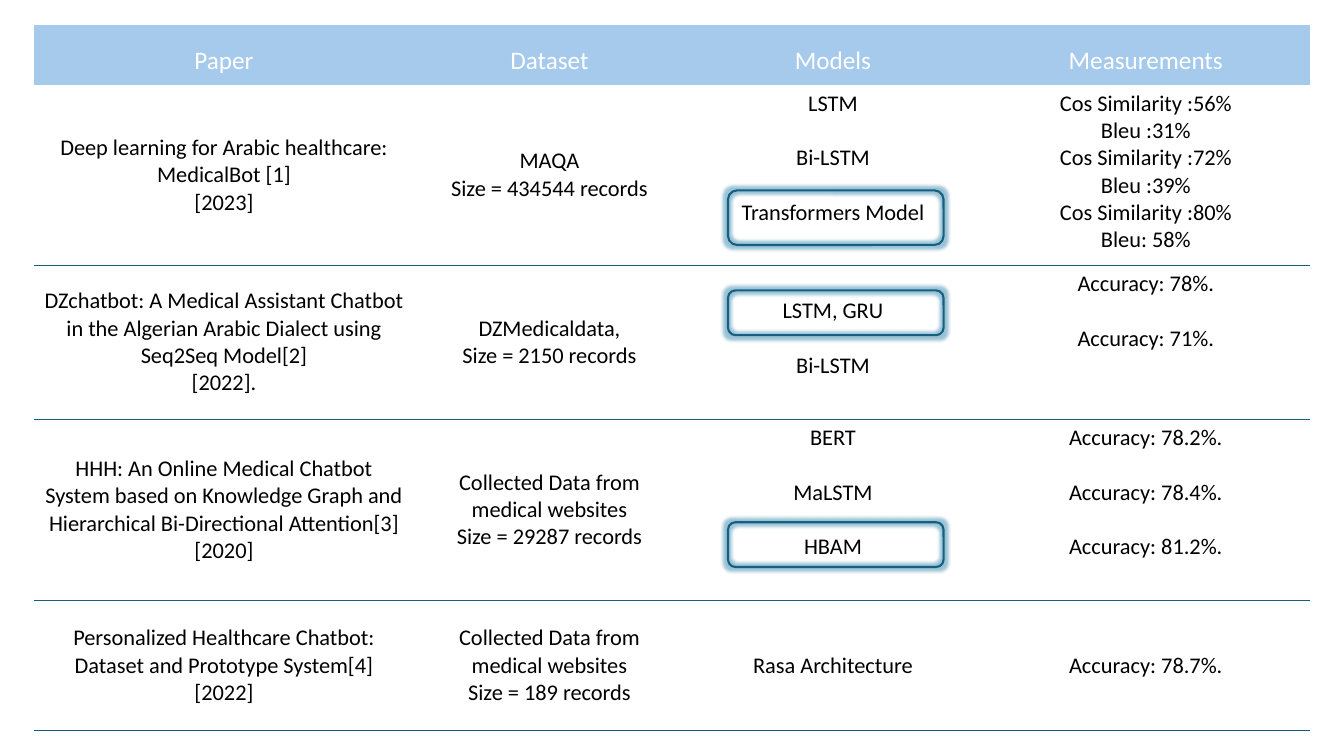
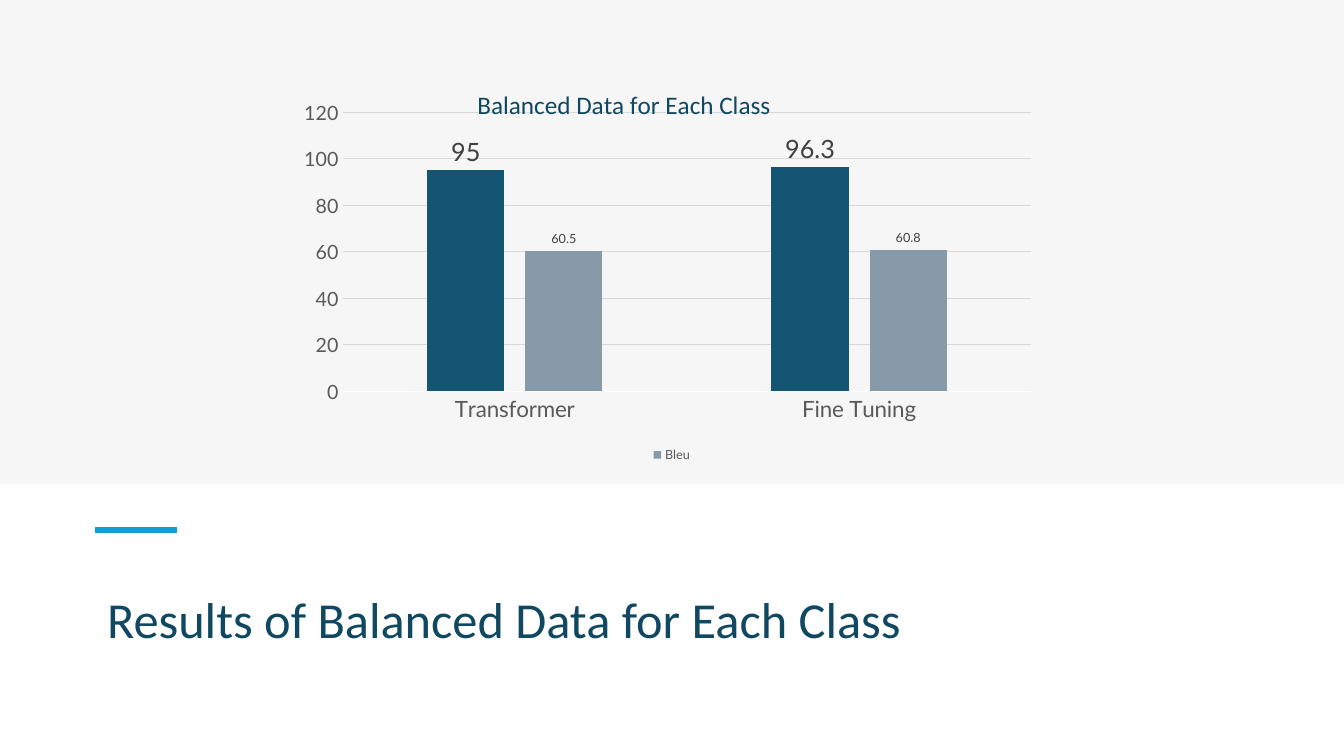
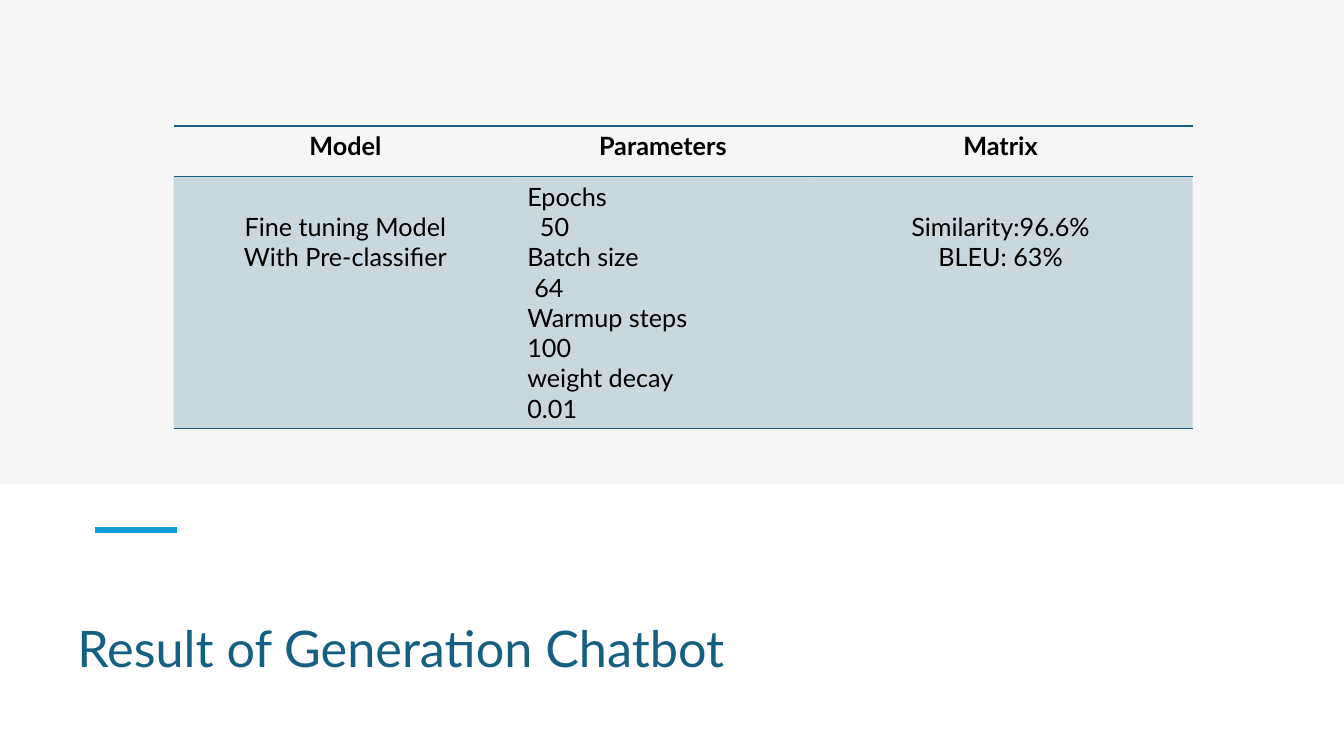
from dataclasses import dataclass
from typing import Any, NamedTuple

from lxml import etree
from pptx import Presentation
from pptx import util as u
from pptx.chart.data import CategoryChartData
from pptx.dml.color import RGBColor
from pptx.enum import chart as charts, shapes, text
from pptx.oxml.ns import qn

Pt = u.Pt
COLORS = {
    "navy": "104862", "teal": "156082", "sky": "0F9ED5", "header": "A6CAEC",
    "band": "F2F2F2", "white": "FFFFFF", "black": "000000", "bar": "135573",
    "slate": "879AAA", "axis": "595959", "label": "404040", "grid": "D9D9D9",
}
PLAIN_TABLE = "{2D5ABB26-0587-4C30-8999-92F81FD0307C}"
MIDDLE, TOP = text.MSO_ANCHOR.MIDDLE, text.MSO_ANCHOR.TOP
CENTER, LEFT = text.PP_ALIGN.CENTER, text.PP_ALIGN.LEFT


class Frame(NamedTuple):
    left: float
    top: float
    width: float
    height: float

    def lengths(self) -> list[u.Length]:
        return [Pt(value) for value in self]


@dataclass(frozen=True)
class Style:
    name: str
    size: float
    color: str
    bold: bool = False


@dataclass(frozen=True)
class Cell:
    lines: tuple[str, ...]
    style: Style
    fill: str | None = None
    alpha: int = 100
    anchor: Any = TOP
    align: Any = CENTER
    gap: float = 0
    drop: float = 0
    spacing: float = 1
    indents: tuple[float, ...] = ()
    rules: tuple[str, ...] = ("b",)


@dataclass(frozen=True)
class Bars:
    name: str
    values: tuple[float, ...]
    color: str
    label_size: float


TABLE_HEAD = Style("Calibri", 18, "white")
TABLE_BODY = Style("Calibri", 16, "black")
RESULT_HEAD = Style("Lato", 18, "black", True)
RESULT_BODY = Style("Lato", 18, "black")
LINE_16, LINE_18 = 19.5, 21.6


def rgb(name: str) -> RGBColor:
    return RGBColor.from_string(COLORS[name])


def assign(target: Any, values: dict[str, Any]) -> None:
    for name, value in values.items():
        setattr(target, name, value)


def set_font(font: Any, style: Style) -> None:
    assign(font, {"name": style.name, "size": Pt(style.size), "bold": style.bold})
    font.color.rgb = rgb(style.color)


def paint(fill: Any, color: str | None, alpha: int = 100) -> None:
    if color is None:
        fill.background()
        return
    fill.solid()
    fill.fore_color.rgb = rgb(color)
    if alpha < 100:
        solid = fill._xPr.find(qn("a:solidFill"))
        etree.SubElement(solid[0], qn("a:alpha"), val=str(alpha * 1000))


def set_line(line: Any, color: str, width: float) -> None:
    line.color.rgb = rgb(color)
    line.width = Pt(width)


def add_rule(cell: Any, side: str) -> None:
    rule = etree.Element(qn(f"a:ln{side.upper()}"), w=str(Pt(1)))
    solid = etree.SubElement(rule, qn("a:solidFill"))
    etree.SubElement(solid, qn("a:srgbClr"), val=COLORS["teal"])
    cell._tc.get_or_add_tcPr().insert(0, rule)


def fill_cell(cell: Any, content: Cell) -> None:
    paint(cell.fill, content.fill, content.alpha)
    for side in content.rules:
        add_rule(cell, side)
    assign(cell, {"vertical_anchor": content.anchor, "margin_top": Pt(3.6 + content.drop)})
    box = cell.text_frame
    for index, line in enumerate(content.lines):
        para = box.add_paragraph() if index else box.paragraphs[0]
        assign(para, {"alignment": content.align, "line_spacing": content.spacing})
        if index and content.gap:
            para.space_before = Pt(content.gap)
        if content.indents and content.indents[index]:
            para._p.get_or_add_pPr().set("marL", str(Pt(content.indents[index])))
        span = para.add_run()
        span.text = line
        set_font(span.font, content.style)


def add_grid(page: Any, left: float, top: float, widths: list[float],
             heights: list[float], rows: list[list[Cell]]) -> None:
    frame = Frame(left, top, sum(widths), sum(heights))
    table = page.shapes.add_table(len(rows), len(widths), *frame.lengths()).table
    assign(table, {"first_row": False, "horz_banding": False})
    table._tbl.tblPr.find(qn("a:tableStyleId")).text = PLAIN_TABLE
    for column, width in zip(table.columns, widths):
        column.width = Pt(width)
    for row, height, contents in zip(table.rows, heights, rows):
        row.height = Pt(height)
        for cell, content in zip(row.cells, contents):
            fill_cell(cell, content)


def add_highlight(page: Any, frame: Frame) -> None:
    box = page.shapes.add_shape(shapes.MSO_SHAPE.ROUNDED_RECTANGLE, *frame.lengths())
    box.shadow.inherit = False
    paint(box.fill, None)
    set_line(box.line, "teal", 1.5)
    effects = box._element.spPr.find(qn("a:effectLst"))
    glow = etree.SubElement(effects, qn("a:glow"), rad=str(Pt(5)))
    tint = etree.SubElement(glow, qn("a:srgbClr"), val=COLORS["teal"])
    etree.SubElement(tint, qn("a:satMod"), val="175000")
    etree.SubElement(tint, qn("a:alpha"), val="40000")


def add_result_page(deck: Any, title: str, frame: Frame, style: Style, align: Any) -> Any:
    page = deck.slides.add_slide(deck.slide_layouts[5])
    box = page.shapes.title
    for name, value in zip(("left", "top", "width", "height"), frame.lengths()):
        setattr(box, name, value)
    assign(box.text_frame, {"text": title, "word_wrap": True, "vertical_anchor": MIDDLE,
                            "auto_size": text.MSO_AUTO_SIZE.NONE})
    para = box.text_frame.paragraphs[0]
    assign(para, {"alignment": align, "line_spacing": 0.9})
    set_font(para.runs[0].font, style)

    band = page.shapes.add_shape(shapes.MSO_SHAPE.RECTANGLE, *Frame(0, 0, 960, 345.6).lengths())
    band.shadow.inherit = False
    paint(band.fill, "band", 65)
    band.line.fill.background()

    accent = page.shapes.add_connector(
        shapes.MSO_CONNECTOR.STRAIGHT, Pt(68), Pt(378.7), Pt(126.4), Pt(378.7))
    set_line(accent.line, "sky", 4.5)
    etree.SubElement(accent._element.spPr, qn("a:effectLst"))
    return page


def set_layout(owner: Any, index: int, target: str | None = None, **places: float) -> None:
    for stale in owner.findall(qn("c:layout")):
        owner.remove(stale)
    layout = etree.Element(qn("c:layout"))
    manual = etree.SubElement(layout, qn("c:manualLayout"))
    if target:
        etree.SubElement(manual, qn("c:layoutTarget"), val=target)
    for name in ("x", "y"):
        etree.SubElement(manual, qn(f"c:{name}Mode"), val="edge")
    for name, value in places.items():
        etree.SubElement(manual, qn(f"c:{name}"), val=str(value))
    owner.insert(index, layout)


def add_bar_chart(page: Any, frame: Frame, title: str, categories: list[str],
                  groups: list[Bars]) -> None:
    data = CategoryChartData()
    data.categories = categories
    for group in groups:
        data.add_series(group.name, group.values)
    chart = page.shapes.add_chart(
        charts.XL_CHART_TYPE.COLUMN_CLUSTERED, *frame.lengths(), data).chart
    set_font(chart.font, Style("Lato", 10, "black"))

    chart.has_title = True
    heading = chart.chart_title
    heading.text_frame.text = title
    set_font(heading.text_frame.paragraphs[0].runs[0].font, Style("Calibri", 18, "navy"))
    heading.include_in_layout = False
    set_layout(heading._element, 1, x=0.24, y=0.03)

    plot = chart.plots[0]
    assign(plot, {"gap_width": 219, "overlap": -27, "vary_by_categories": False})
    set_layout(chart._chartSpace.chart.plotArea, 0, "inner", x=0.07, y=0.105, w=0.9, h=0.705)
    for series, group in zip(plot.series, groups):
        paint(series.format.fill, group.color)
        labels = series.data_labels
        assign(labels, {"show_value": True,
                        "position": charts.XL_LABEL_POSITION.OUTSIDE_END})
        set_font(labels.font, Style("Lato", group.label_size, "label"))

    for axis, size in ((chart.category_axis, 16), (chart.value_axis, 14)):
        axis.major_tick_mark = axis.minor_tick_mark = charts.XL_TICK_MARK.NONE
        set_font(axis.tick_labels.font, Style("Lato", size, "axis"))
    set_line(chart.category_axis.format.line, "white", 0.75)
    values = chart.value_axis
    assign(values, {"minimum_scale": 0, "maximum_scale": 120, "major_unit": 20,
                    "has_major_gridlines": True})
    values.format.line.fill.background()
    set_line(values.major_gridlines.format.line, "grid", 0.75)

    chart.has_legend = True
    legend = chart.legend
    assign(legend, {"position": charts.XL_LEGEND_POSITION.BOTTOM, "include_in_layout": False})
    set_font(legend.font, Style("Lato", 9, "axis"))
    entry = etree.Element(qn("c:legendEntry"))
    etree.SubElement(entry, qn("c:idx"), val="0")
    etree.SubElement(entry, qn("c:delete"), val="1")
    legend._element.find(qn("c:legendPos")).addnext(entry)


def paper_head(label: str) -> Cell:
    return Cell((label,), TABLE_HEAD, "header", spacing=1.5, rules=())


def centred(*lines: str) -> Cell:
    return Cell(lines, TABLE_BODY, "white", anchor=MIDDLE)


def listed(*lines: str, gap: float = LINE_16, drop: float = 0) -> Cell:
    return Cell(lines, TABLE_BODY, "white", gap=gap, drop=drop)


def result_head(label: str) -> Cell:
    return Cell((label,), RESULT_HEAD, rules=("b", "t"))


def result(*lines: str) -> Cell:
    return Cell(lines, RESULT_BODY, "teal", 20, drop=LINE_18)


def build_papers(deck: Any) -> None:
    page = deck.slides.add_slide(deck.slide_layouts[6])
    rows = [
        [paper_head(label) for label in ("Paper", "Dataset", "Models", "Measurements")],
        [centred("Deep learning for Arabic healthcare: MedicalBot [1]", "[2023]"),
         centred("MAQA", "Size = 434544 records"),
         listed("LSTM", "Bi-LSTM", "Transformers Model"),
         listed("Cos Similarity :56%", "Bleu :31%", "Cos Similarity :72%",
                "Bleu :39%", "Cos Similarity :80%", "Bleu: 58%", gap=0)],
        [centred("DZchatbot: A Medical Assistant Chatbot in the Algerian Arabic Dialect "
                 "using Seq2Seq Model[2]", "[2022]."),
         centred("DZMedicaldata,", "Size = 2150 records"),
         listed("LSTM, GRU", "Bi-LSTM", drop=LINE_16),
         listed("Accuracy: 78%.", "Accuracy: 71%.")],
        [centred("HHH: An Online Medical Chatbot System based on Knowledge Graph and "
                 "Hierarchical Bi-Directional Attention[3]", "[2020]"),
         centred("Collected Data from medical websites", "Size = 29287 records"),
         listed("BERT", "MaLSTM", "HBAM"),
         listed("Accuracy: 78.2%.", "Accuracy: 78.4%.", "Accuracy: 81.2%.")],
        [centred("Personalized Healthcare Chatbot:", "Dataset and Prototype System[4]",
                 "[2022]"),
         centred("Collected Data from medical websites", "Size = 189 records"),
         centred("Rasa Architecture"),
         centred("Accuracy: 78.7%.")],
    ]
    add_grid(page, 24, 18, [272, 193, 212, 235], [42.5, 129, 110, 129.5, 93], rows)
    for top, height in ((136, 39), (207.4, 32), (373, 32)):
        add_highlight(page, Frame(520, top, 154, height))


def build_balanced(deck: Any) -> None:
    page = add_result_page(deck, "Results of Balanced Data for Each Class",
                           Frame(39.6, 421, 641, 47), Style("Calibri", 36, "navy"), CENTER)
    add_bar_chart(page, Frame(206.6, 50.4, 546.5, 283), "Balanced Data for Each Class",
                  ["Transformer", "Fine Tuning"],
                  [Bars("Series 1", (95, 96.3), "bar", 18),
                   Bars("Bleu", (60.5, 60.8), "slate", 9)])


def build_generation(deck: Any) -> None:
    page = add_result_page(deck, "Result of Generation Chatbot",
                           Frame(48, 441.5, 796, 47), Style("Lato", 36, "teal"), LEFT)
    parameters = Cell(
        ("Epochs", "50", "Batch size", "64", "Warmup steps", "100", "weight decay", "0.01"),
        RESULT_BODY, "teal", 20, align=LEFT, indents=(0, 9, 0, 5, 0, 0, 0, 0))
    rows = [
        [result_head(label) for label in ("Model", "Parameters", "Matrix")],
        [result("Fine tuning Model", "With Pre-classifier"), parameters,
         result("Similarity:96.6%", "BLEU: 63%")],
    ]
    add_grid(page, 124, 90, [245.5, 208, 274.5], [36, 180], rows)


def main() -> None:
    deck = Presentation()
    assign(deck, {"slide_width": Pt(960), "slide_height": Pt(540)})
    for build in (build_papers, build_balanced, build_generation):
        build(deck)
    deck.save("out.pptx")


if __name__ == "__main__":
    main()
